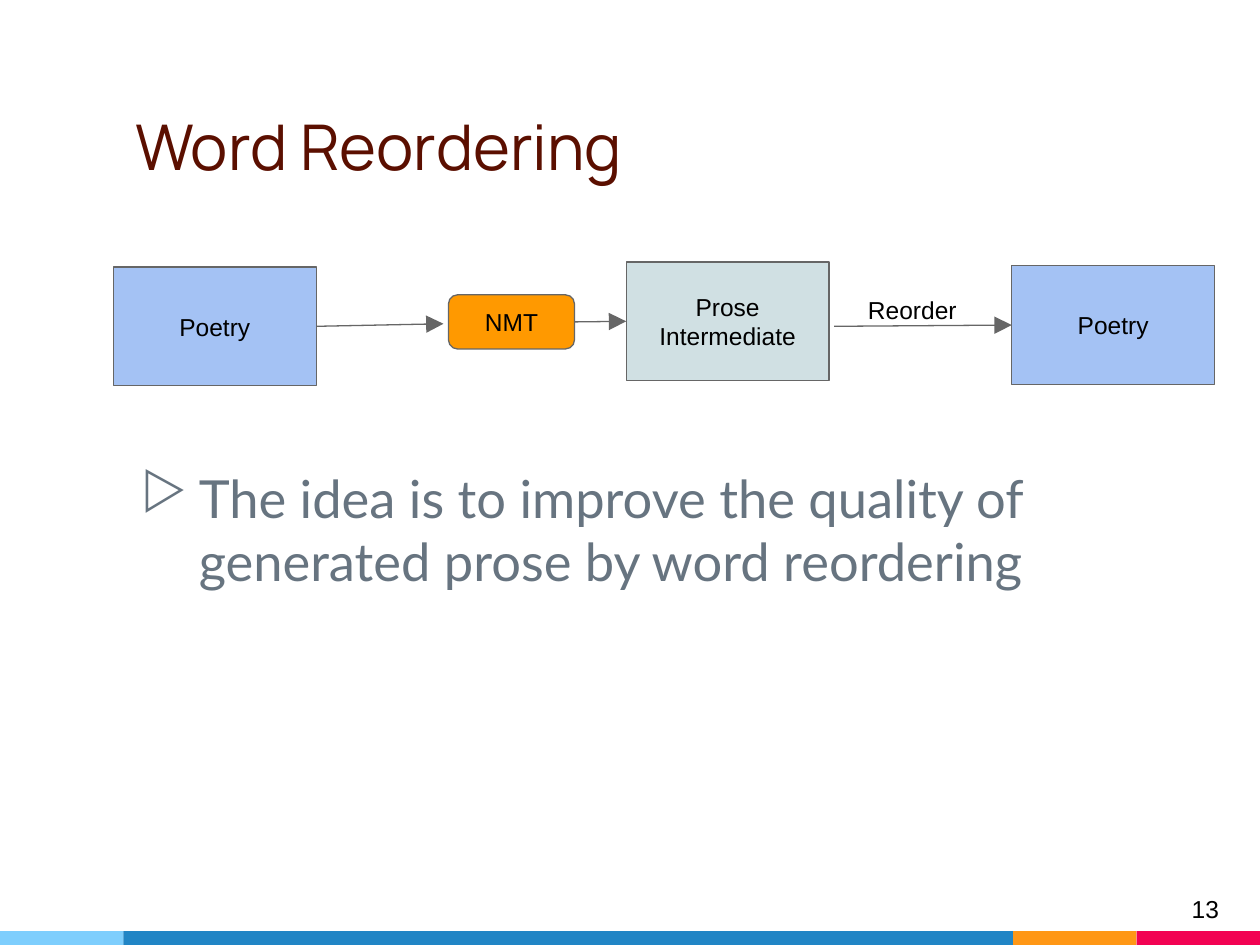
from pptx import Presentation
from pptx.dml.color import RGBColor
from pptx.enum.shapes import MSO_CONNECTOR, MSO_SHAPE
from pptx.enum.text import MSO_ANCHOR as Anchor, PP_ALIGN as Align
from pptx.oxml.ns import qn
from pptx.util import Inches, Pt
from lxml.etree import SubElement

BLACK = RGBColor(0x00, 0x00, 0x00)
MAROON = RGBColor(0x5B, 0x0F, 0x00)
SLATE = RGBColor(0x67, 0x74, 0x80)
GRAY = RGBColor(0x66, 0x66, 0x66)
POETRY_BLUE = RGBColor(0xA4, 0xC2, 0xF4)
PROSE_TEAL = RGBColor(0xD0, 0xE0, 0xE3)
NMT_ORANGE = RGBColor(0xFF, 0x99, 0x00)
SKY = RGBColor(0x7E, 0xCE, 0xFD)
BLUE = RGBColor(0x21, 0x85, 0xC5)
ORANGE = RGBColor(0xFF, 0x97, 0x15)
RED = RGBColor(0xF2, 0x02, 0x53)

RIGHT_SIDE, LEFT_SIDE = 3, 1


def write(shape, text, size=14, font="Arial", color=BLACK,
          anchor=Anchor.MIDDLE, align=Align.LEFT):
    """Fill a shape with one paragraph and return that paragraph."""
    frame = shape.text_frame
    frame.word_wrap = True
    frame.vertical_anchor = anchor
    frame.margin_left = frame.margin_right = Inches(0.1)
    frame.margin_top = frame.margin_bottom = Inches(0.1)
    paragraph = frame.paragraphs[0]
    paragraph.text = text
    paragraph.alignment = align
    paragraph.font.size = Pt(size)
    paragraph.font.name = font
    paragraph.font.color.rgb = color
    return paragraph


def add_text(slide, box, text, **style):
    return write(slide.shapes.add_textbox(*map(Inches, box)), text, **style)


def add_block(slide, kind, box, fill):
    block = slide.shapes.add_shape(kind, *map(Inches, box))
    block.shadow.inherit = False
    block.fill.solid()
    block.fill.fore_color.rgb = fill
    block.line.fill.background()
    return block


def add_stage(slide, box, text, fill, kind=MSO_SHAPE.RECTANGLE):
    stage = add_block(slide, kind, box, fill)
    stage.line.color.rgb = GRAY
    stage.line.width = Pt(0.75)
    write(stage, text, align=Align.CENTER)
    return stage


def add_arrow(slide, start, end, source=None, target=None):
    arrow = slide.shapes.add_connector(
        MSO_CONNECTOR.STRAIGHT, *map(Inches, (*start, *end)))
    if source is not None:
        arrow.begin_connect(source, RIGHT_SIDE)
    if target is not None:
        arrow.end_connect(target, LEFT_SIDE)
    arrow.line.color.rgb = GRAY
    arrow.line.width = Pt(0.75)
    SubElement(arrow.line._get_or_add_ln(), qn("a:tailEnd"),
               type="triangle", w="lg", len="lg")
    SubElement(arrow._element.spPr, qn("a:effectLst"))


def add_footer_bar(slide, left, top, width, height):
    end_width = 0.98
    middle_width = width - 3 * end_width
    for color, band_width in ((SKY, end_width), (BLUE, middle_width),
                              (ORANGE, end_width), (RED, end_width)):
        add_block(slide, MSO_SHAPE.RECTANGLE, (left, top, band_width, height), color)
        left += band_width


def add_pipeline(slide, left, top):
    width, height = 1.61, 0.94
    # Stages
    poem = add_stage(slide, (left, top + 0.04, width, height), "Poetry", POETRY_BLUE)
    nmt = add_stage(slide, (left + 2.66, top + 0.26, 1, 0.43), "NMT", NMT_ORANGE,
                    MSO_SHAPE.ROUNDED_RECTANGLE)
    prose = add_stage(slide, (left + 4.07, top, width, height),
                      "Prose Intermediate", PROSE_TEAL)
    reordered = add_stage(slide, (left + 7.13, top + 0.03, width, height),
                          "Poetry", POETRY_BLUE)
    # Arrows
    add_arrow(slide, (left + 1.61, top + 0.51), (left + 2.62, top + 0.49), source=poem)
    add_arrow(slide, (left + 3.66, top + 0.47), (left + 4.07, top + 0.47), nmt, prose)
    add_arrow(slide, (left + 5.72, top + 0.51), (left + 7.13, top + 0.5),
              target=reordered)
    # Label of the last arrow
    add_text(slide, (left + 5.89, top + 0.16, 1.11, 0.23), "Reorder", anchor=Anchor.TOP)


def add_bullet(slide, box, text):
    paragraph = add_text(slide, box, text, size=30, font="Lato", color=SLATE,
                         anchor=Anchor.TOP)
    properties = paragraph._p.get_or_add_pPr()
    properties.set("marL", str(Inches(0.5)))
    properties.set("indent", str(Inches(-0.46)))
    # Bullet colour and character come before the run defaults
    bullet_color = SubElement(properties, qn("a:buClr"))
    SubElement(bullet_color, qn("a:srgbClr"), val=str(SLATE))
    SubElement(properties, qn("a:buChar"), char="▷")
    defaults = properties.find(qn("a:defRPr"))
    if defaults is not None:
        properties.append(defaults)


def main():
    deck = Presentation()
    deck.slide_width, deck.slide_height = Inches(10), Inches(7.5)
    slide = deck.slides.add_slide(deck.slide_layouts[6])

    add_footer_bar(slide, 0, 7.39, 10, 0.11)
    add_text(slide, (0.98, 0.3, 8.78, 1.25), "Word Reordering", size=36,
             font="Manrope", color=MAROON, anchor=Anchor.BOTTOM)
    add_bullet(slide, (0.98, 3.6, 8.37, 2.64),
               "The idea is to improve the quality of generated prose by word reordering")
    add_text(slide, (9.36, 6.93, 0.6, 0.57), "13")
    add_pipeline(slide, 0.9, 2.08)

    deck.save("out.pptx")


if __name__ == "__main__":
    main()
